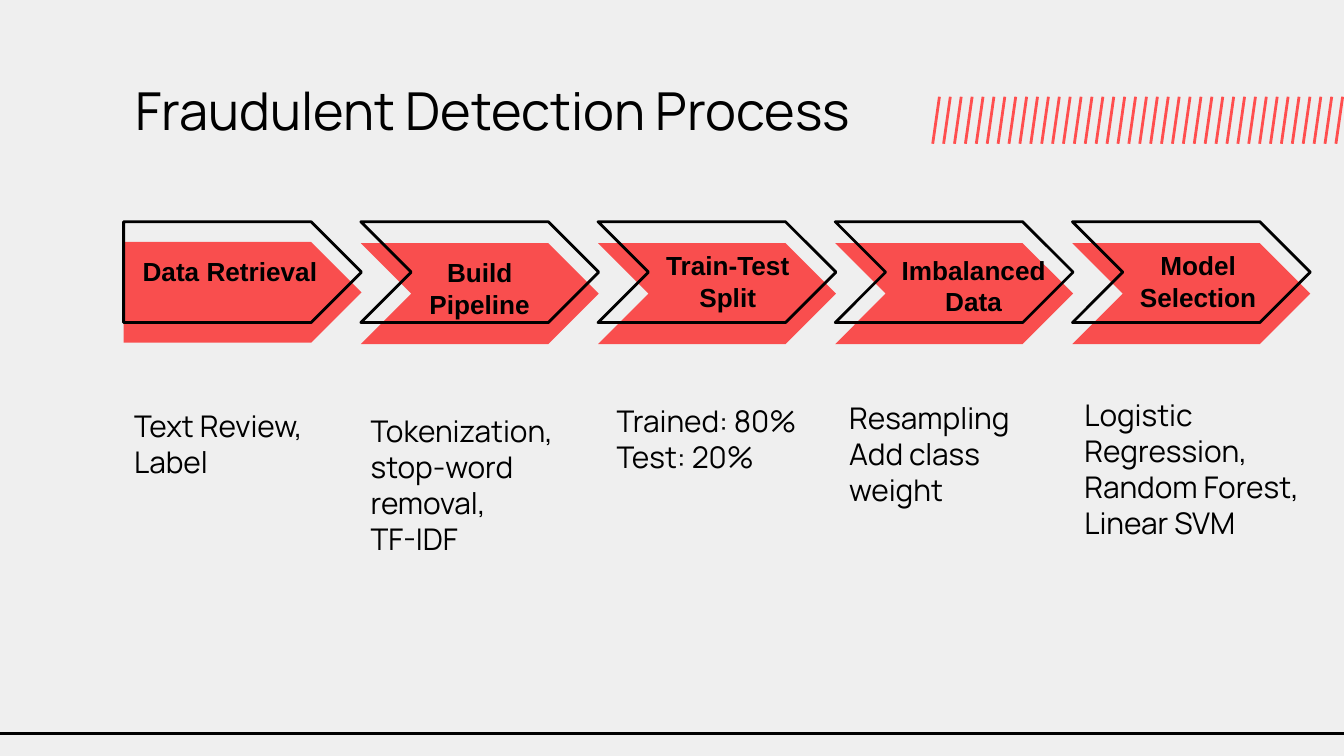
import pptx
import pptx.util
import pptx.dml.color
import pptx.enum.shapes
import pptx.enum.text
import pptx.oxml.ns
from lxml import etree

Inches = pptx.util.Inches
Pt = pptx.util.Pt
PRESETS = pptx.enum.shapes.MSO_SHAPE
ALIGN = pptx.enum.text.PP_ALIGN
ANCHOR = pptx.enum.text.MSO_ANCHOR

COLORS = {"background": "EFEFEF", "ink": "000000", "stripe": "FF4F4F", "arrow": "FF0000"}

FIRST_ARROW, LAST_ARROW = 0.92, 7.98
ARROW_WIDTH, ARROW_HEIGHT = 1.77, 0.75
OUTLINE_TOP = 1.65
FIRST_STRIPE, LAST_STRIPE, STRIPE_COUNT = 6.99, 9.99, 38

STEPS = [
    (PRESETS.PENTAGON, 1.8, "Data Retrieval", None),
    (PRESETS.CHEVRON, 1.81, "Build Pipeline", None),
    (PRESETS.CHEVRON, 1.81, "Train-Test Split", (4.75, 1.81, 1.33, 0.57)),
    (PRESETS.CHEVRON, 1.81, "Imbalanced Data", (6.58, 1.84, 1.33, 0.81)),
    (PRESETS.CHEVRON, 1.81, "Model Selection", (8.25, 1.81, 1.33, 0.81)),
]

DETAILS = [
    ((0.9, 2.9, 1.7, 0.8), ANCHOR.MIDDLE, ["Text Review, Label"]),
    ((2.66, 2.9, 1.84, 1.34), ANCHOR.BOTTOM, ["Tokenization, stop-word removal,", "TF-IDF"]),
    ((4.49, 2.9, 1.8, 0.73), ANCHOR.MIDDLE, ["Trained: 80%", "Test: 20%"]),
    ((6.22, 3.01, 1.8, 0.73), ANCHOR.MIDDLE, ["Resampling", "Add class weight"]),
    ((7.97, 2.81, 2.06, 1.31), ANCHOR.BOTTOM,
     ["Logistic Regression, Random Forest, Linear SVM"]),
]


def color(name):
    return pptx.dml.color.RGBColor.from_string(COLORS[name])


def write(frame, lines, font, size, bold=False, align=ALIGN.LEFT,
          anchor=ANCHOR.TOP, inset=0.1):
    frame.word_wrap = True
    frame.vertical_anchor = anchor
    frame.margin_left = frame.margin_right = Inches(0.1)
    frame.margin_top = frame.margin_bottom = Inches(inset)
    for number, line in enumerate(lines):
        paragraph = frame.add_paragraph() if number else frame.paragraphs[0]
        paragraph.text = line
        paragraph.alignment = align
        paragraph.font.name = font
        paragraph.font.size = Pt(size)
        paragraph.font.bold = bold
        paragraph.font.color.rgb = color("ink")


def add_text(slide, box, lines, font, size, **style):
    frame = slide.shapes.add_textbox(*map(Inches, box)).text_frame
    write(frame, lines, font, size, **style)


def add_line(slide, start, end, ink):
    line = slide.shapes.add_connector(
        pptx.enum.shapes.MSO_CONNECTOR.STRAIGHT, *map(Inches, start + end))
    line.line.color.rgb = color(ink)
    line.line.width = Pt(1.5)
    etree.SubElement(line._element.spPr, pptx.oxml.ns.qn("a:effectLst"))


def add_arrow(slide, preset, left, top, filled):
    arrow = slide.shapes.add_shape(
        preset, Inches(left), Inches(top), Inches(ARROW_WIDTH), Inches(ARROW_HEIGHT))
    arrow.shadow.inherit = False
    arrow.adjustments[0] = 0.5
    if filled:
        arrow.fill.solid()
        arrow.fill.fore_color.rgb = color("arrow")
        tint = arrow._element.spPr.find(".//" + pptx.oxml.ns.qn("a:srgbClr"))
        etree.SubElement(tint, pptx.oxml.ns.qn("a:alpha"), val="67000")
        arrow.line.fill.background()
    else:
        arrow.fill.background()
        arrow.line.color.rgb = color("ink")
        arrow.line.width = Pt(1.5)
    return arrow


def add_stripes(slide):
    gap = (LAST_STRIPE - FIRST_STRIPE) / (STRIPE_COUNT - 1)
    for number in range(STRIPE_COUNT):
        top_x = FIRST_STRIPE + number * gap
        add_line(slide, (top_x, 0.72), (top_x - 0.05, 1.07), "stripe")


def add_steps(slide):
    gap = (LAST_ARROW - FIRST_ARROW) / (len(STEPS) - 1)
    for number, (preset, top, name, label_box) in enumerate(STEPS):
        left = FIRST_ARROW + number * gap
        arrow = add_arrow(slide, preset, left, top, filled=True)
        add_arrow(slide, preset, left, OUTLINE_TOP, filled=False)
        if label_box:
            add_text(slide, label_box, [name], "Arial", 14, bold=True,
                     align=ALIGN.CENTER, inset=0.05)
        else:
            write(arrow.text_frame, [name], "Arial", 14, bold=True, align=ALIGN.CENTER)


def main():
    deck = pptx.Presentation()
    deck.slide_width = Inches(10)
    deck.slide_height = deck.slide_width * 9 // 16
    slide = deck.slides.add_slide(deck.slide_layouts[6])
    slide.background.fill.solid()
    slide.background.fill.fore_color.rgb = color("background")

    add_stripes(slide)
    add_line(slide, (-0.07, 5.46), (10.1, 5.46), "ink")
    add_text(slide, (0.91, 0.48, 8.42, 0.63), ["Fraudulent Detection Process"], "Manrope", 28)
    add_steps(slide)
    for box, anchor, lines in DETAILS:
        add_text(slide, box, lines, "Manrope", 16, anchor=anchor)

    deck.save("out.pptx")


if __name__ == "__main__":
    main()
